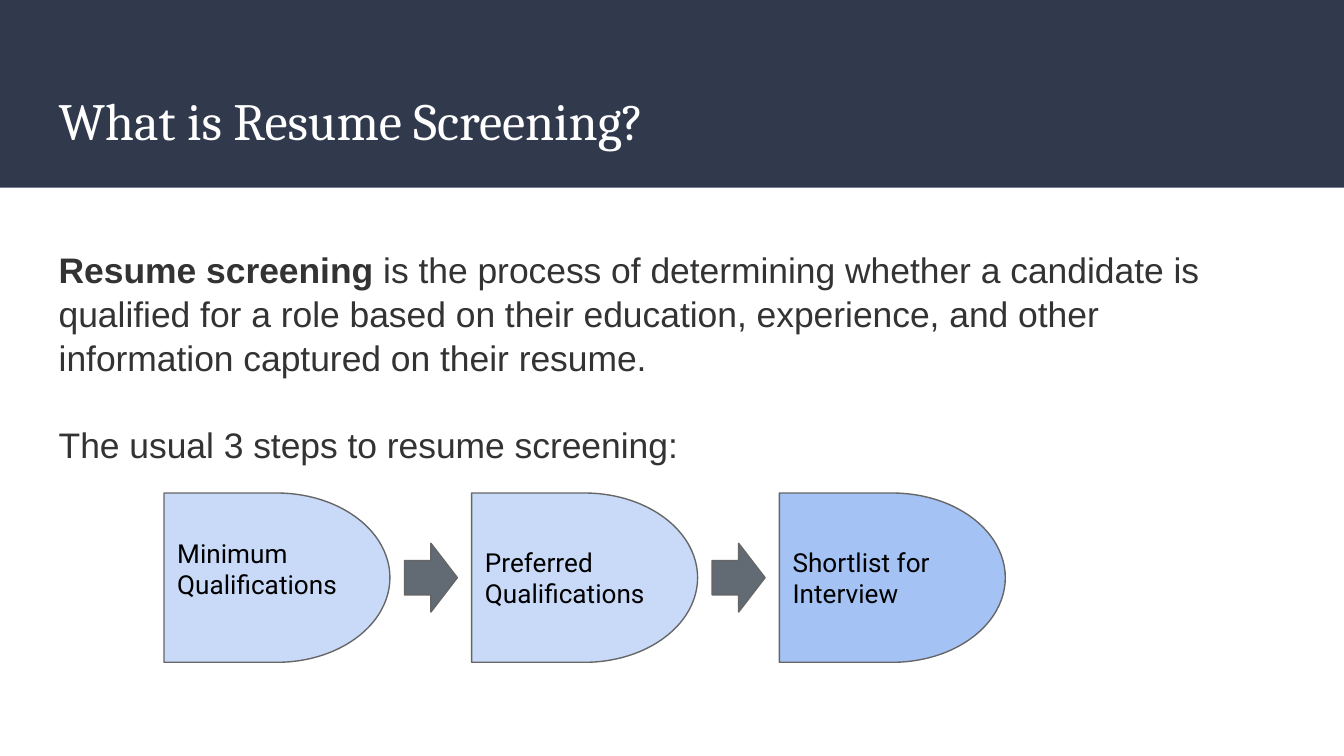
from dataclasses import dataclass

from pptx import Presentation
from pptx.dml.color import RGBColor
from pptx.enum.shapes import MSO_SHAPE
from pptx.enum.text import MSO_ANCHOR, MSO_AUTO_SIZE, PP_ALIGN
from pptx.util import Cm, Pt


@dataclass(frozen=True)
class Theme:
    navy: str = "31394D"
    white: str = "FFFFFF"
    body: str = "333333"
    black: str = "000000"
    pale_blue: str = "C9DAF8"
    blue: str = "A4C2F4"
    arrow: str = "626B73"
    outline: str = "666666"
    title_font: str = "Cambria"
    body_font: str = "Arial"
    step_font: str = "Roboto"
    title_size: int = 28
    body_size: int = 19
    step_size: int = 14


THEME = Theme()


@dataclass(frozen=True)
class Box:
    left: float
    top: float
    width: float
    height: float

    def lengths(self):
        return Cm(self.left), Cm(self.top), Cm(self.width), Cm(self.height)


def write_text(shape, paragraphs, *, font, size, color, anchor=MSO_ANCHOR.TOP,
               line_spacing=1.0, gap=0):
    frame = shape.text_frame
    frame.word_wrap = True
    frame.auto_size = MSO_AUTO_SIZE.NONE
    frame.vertical_anchor = anchor
    frame.margin_left = frame.margin_right = Cm(0.25)
    frame.margin_top = frame.margin_bottom = Cm(0.25)
    for index, runs in enumerate(paragraphs):
        paragraph = frame.add_paragraph() if index else frame.paragraphs[0]
        paragraph.alignment = PP_ALIGN.LEFT
        paragraph.line_spacing = line_spacing
        paragraph.space_before = Pt(gap if index else 0)
        for text, bold in runs:
            run = paragraph.add_run()
            run.text = text
            run.font.name = font
            run.font.size = Pt(size)
            run.font.bold = bold
            run.font.color.rgb = RGBColor.from_string(color)


def draw_shape(shapes, kind, box, fill, outline=None):
    shape = shapes.add_shape(kind, *box.lengths())
    shape.shadow.inherit = False
    shape.fill.solid()
    shape.fill.fore_color.rgb = RGBColor.from_string(fill)
    if outline:
        shape.line.color.rgb = RGBColor.from_string(outline)
        shape.line.width = Pt(0.75)
    else:
        shape.line.fill.background()
    return shape


def add_header(slide, box, text):
    band = draw_shape(slide.shapes, MSO_SHAPE.RECTANGLE, box, THEME.navy)
    title = slide.shapes.title
    title.element.addprevious(band.element)
    title_box = Box(box.left + 0.86, box.top + 1.4, box.width - 1.72, 1.73)
    title.left, title.top, title.width, title.height = title_box.lengths()
    write_text(title, [[(text, False)]], font=THEME.title_font,
               size=THEME.title_size, color=THEME.white, anchor=MSO_ANCHOR.MIDDLE)


def add_definition(slide, box, paragraphs):
    textbox = slide.shapes.add_textbox(*box.lengths())
    write_text(textbox, paragraphs, font=THEME.body_font, size=THEME.body_size,
               color=THEME.body, line_spacing=1.04, gap=22.8)


def add_step(slide, box, lines, fill, text_offset, has_arrow):
    shapes = slide.shapes.add_group_shape().shapes
    if has_arrow:
        arrow_height = 1.3
        arrow_top = box.top + (box.height - arrow_height) / 2
        arrow_box = Box(box.left - 1.27, arrow_top, 1, arrow_height)
        draw_shape(shapes, MSO_SHAPE.RIGHT_ARROW, arrow_box, THEME.arrow, THEME.outline)
    draw_shape(shapes, MSO_SHAPE.FLOWCHART_DELAY, box, fill, THEME.outline)
    text_box = Box(box.left, box.top + text_offset, 3.84, 1.7)
    textbox = shapes.add_textbox(*text_box.lengths())
    write_text(textbox, [[(line, False)] for line in lines], font=THEME.step_font,
               size=THEME.step_size, color=THEME.black)


def add_process(slide, box, steps):
    step_width = 4.27
    pitch = (box.width - step_width) / (len(steps) - 1)
    for index, (lines, fill, text_offset) in enumerate(steps):
        step_box = Box(box.left + index * pitch, box.top, step_width, box.height)
        add_step(slide, step_box, lines, fill, text_offset, has_arrow=index > 0)


def main():
    presentation = Presentation()
    presentation.slide_width = Cm(25.4)
    presentation.slide_height = Cm(14.29)
    slide = presentation.slides.add_slide(presentation.slide_layouts[5])

    add_header(slide, Box(0, 0, 25.4, 3.55), "What is Resume Screening?")
    add_definition(slide, Box(0.86, 4.4, 23.09, 5.38), [
        [("Resume screening", True),
         (" is the process of determining whether a candidate is qualified for a role "
          "based on their education, experience, and other information captured on "
          "their resume.", False)],
        [("The usual 3 steps to resume screening:", False)],
    ])
    add_process(slide, Box(3.1, 9.32, 15.9, 3.2), [
        (("Minimum", "Qualifications"), THEME.pale_blue, 0.58),
        (("Preferred", "Qualifications"), THEME.pale_blue, 0.75),
        (("Shortlist for", "Interview"), THEME.blue, 0.75),
    ])
    presentation.save("out.pptx")


if __name__ == "__main__":
    main()
